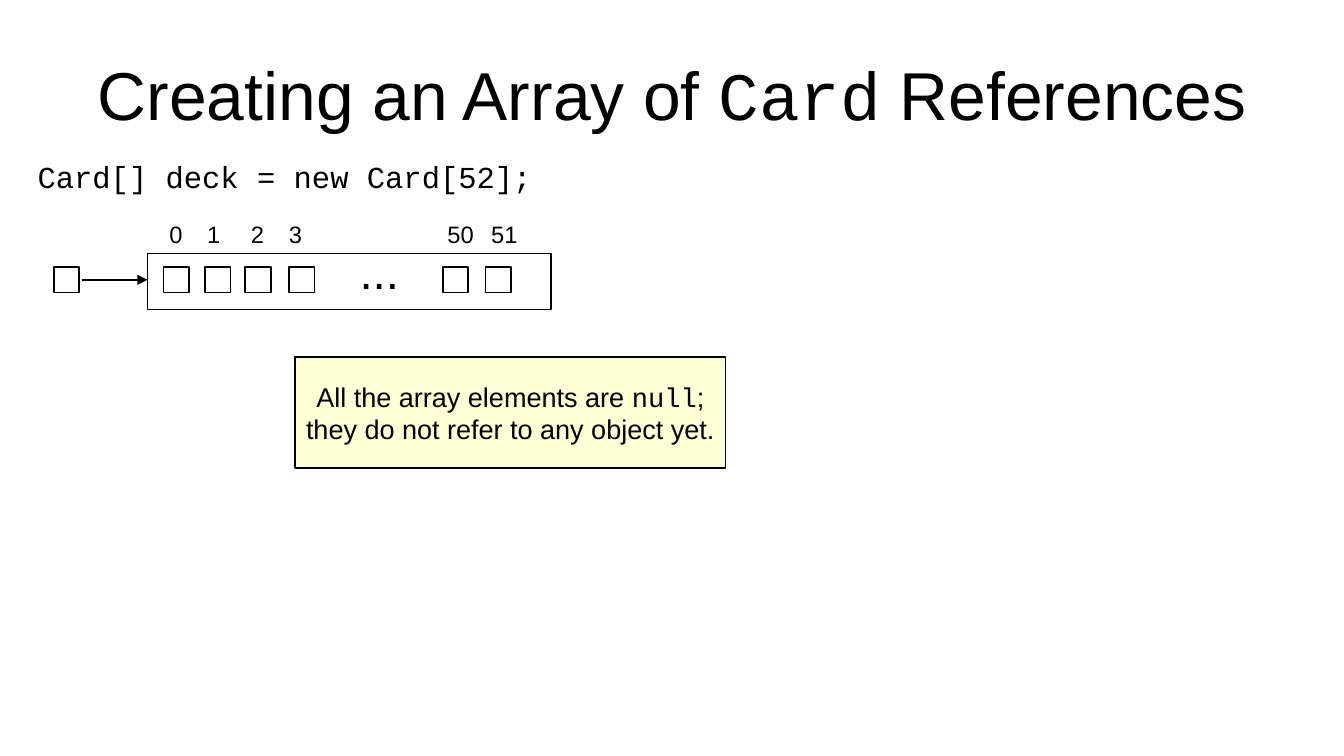
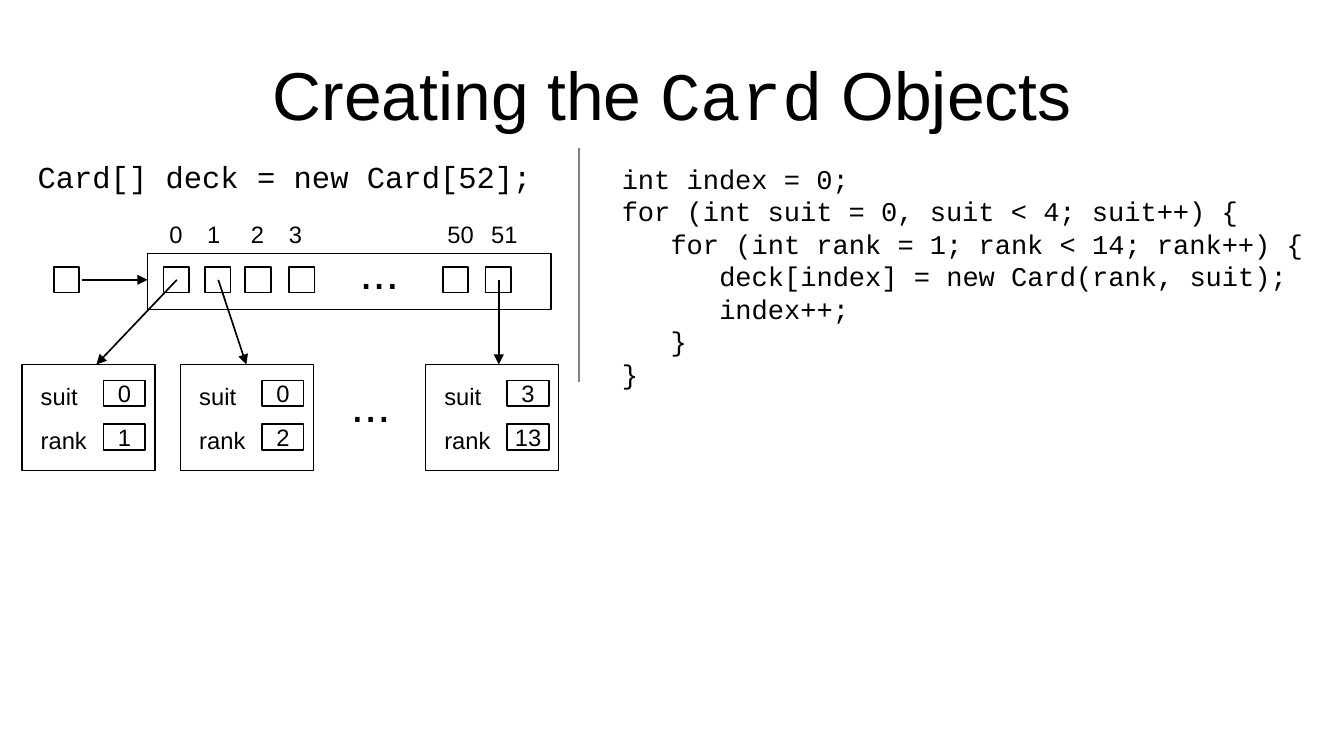
from dataclasses import dataclass

from lxml import etree
from pptx import Presentation
from pptx.dml.color import RGBColor
from pptx.enum.shapes import MSO_CONNECTOR, MSO_SHAPE
from pptx.enum.text import MSO_ANCHOR, PP_ALIGN
from pptx.oxml.ns import qn
from pptx.util import Inches, Pt

RECTANGLE = MSO_SHAPE.RECTANGLE
STRAIGHT = MSO_CONNECTOR.STRAIGHT
LEFT, CENTER = PP_ALIGN.LEFT, PP_ALIGN.CENTER
TOP, MIDDLE = MSO_ANCHOR.TOP, MSO_ANCHOR.MIDDLE

# Grid: every column and row is a tenth of an inch
CELL = Inches(0.1)
COLUMNS, ROWS = 110.2, 62


@dataclass(frozen=True)
class Theme:
    ink: RGBColor = RGBColor(0, 0, 0)
    paper: RGBColor = RGBColor(0xFF, 0xFF, 0xFF)
    note: RGBColor = RGBColor(0xFF, 0xFF, 0xD7)
    divider: RGBColor = RGBColor(0x80, 0x80, 0x80)
    prose: str = "Arial"
    code: str = "Courier New"
    title_size: int = 40
    dots_size: int = 28
    statement_size: int = 18
    body_size: int = 16
    label_size: int = 14
    line_width: int = 1


THEME = Theme()


@dataclass(frozen=True)
class Box:
    left: float
    top: float
    width: float
    height: float

    def inner(self, left, top, width, height):
        return Box(self.left + left, self.top + top, width, height)

    def emu(self):
        return [grid(n) for n in (self.left, self.top, self.width, self.height)]


TITLE = Box(5.5, 2.5, 99.2, 10.4)
STATEMENT = Box(2.1, 12.5, 45, 3.8)
NOTE = Box(24.2, 29.3, 35.3, 9.1)
ARRAY = Box(4.4, 17.5, 40.8, 7.9)
LOOP = Box(50, 12.8, 60, 18.6)

# Array slots: index, left of the square, left of its index label
SLOTS = (("0", 9, 8.5), ("1", 12.4, 11.6), ("2", 15.7, 15.2),
         ("3", 19.3, 18.3), ("50", 31.9, 31.3), ("51", 35.4, 34.9))
SQUARE = 2.1
SQUARE_TOP = 4.4
ARROW_ROW = 5.45

# Card objects: slot, left edge, arrowhead offset, field values
CARD_TOP, CARD_WIDTH, CARD_HEIGHT = 29.9, 10.9, 8.7
CARDS = ((0, 1.8, 6.1, {"suit": "0", "rank": "1"}),
         (1, 14.8, 5.4, {"suit": "0", "rank": "2"}),
         (5, 34.9, 6, {"suit": "3", "rank": "13"}))
FIELD_PITCH = 3.6

# Tabs set the nesting level of a line; backticks enclose code
LOOP_CODE = """int index = 0;
for (int suit = 0, suit < 4; suit++) {
\tfor (int rank = 1; rank < 14; rank++) {
\t\tdeck[index] = new Card(rank, suit);
\t\tindex++;
\t}
}"""
INDENT = Inches(0.4)


def grid(cells):
    return round(cells * CELL)


def write(frame, text, size=THEME.label_size, font=THEME.prose, align=LEFT,
          anchor=TOP, inset=(1, 0.5)):
    """Fill a text frame, one paragraph for each line."""
    frame.word_wrap = True
    frame.vertical_anchor = anchor
    frame.margin_left = frame.margin_right = grid(inset[0])
    frame.margin_top = frame.margin_bottom = grid(inset[1])
    for number, line in enumerate(text.split("\n")):
        paragraph = frame.paragraphs[0] if number == 0 else frame.add_paragraph()
        paragraph.alignment = align
        content = line.lstrip("\t")
        level = len(line) - len(content)
        if level:
            properties = paragraph._p.get_or_add_pPr()
            properties.set("marL", str(level * INDENT))
            properties.set("indent", "0")
        for position, piece in enumerate(content.split("`")):
            run = paragraph.add_run()
            run.text = piece
            run.font.size = Pt(size)
            run.font.name = THEME.code if position % 2 else font
            run.font.color.rgb = THEME.ink


def add_text(slide, box, text, **style):
    write(slide.shapes.add_textbox(*box.emu()).text_frame, text, **style)


def add_rectangle(slide, box, text="", fill=THEME.paper, size=THEME.label_size):
    rectangle = slide.shapes.add_shape(RECTANGLE, *box.emu())
    rectangle.shadow.inherit = False
    rectangle.fill.solid()
    rectangle.fill.fore_color.rgb = fill
    rectangle.line.color.rgb = THEME.ink
    rectangle.line.width = Pt(THEME.line_width)
    if text:
        write(rectangle.text_frame, text, size=size, align=CENTER,
              anchor=MIDDLE, inset=(0, 0))


def add_line(slide, start, end, color=THEME.ink, arrow=True):
    line = slide.shapes.add_connector(STRAIGHT, *map(grid, (*start, *end)))
    line.line.color.rgb = color
    line.line.width = Pt(THEME.line_width)
    if arrow:
        etree.SubElement(line.line._get_or_add_ln(), qn("a:tailEnd"),
                         type="triangle")
    etree.SubElement(line._element.spPr, qn("a:effectLst"))


def add_dots(slide, left, top):
    add_text(slide, Box(left, top, 7, 5.3), "...", size=THEME.dots_size)


def add_base(deck, title):
    """Start a slide with its title, array statement and array."""
    slide = deck.slides.add_slide(deck.slide_layouts[6])
    add_text(slide, TITLE, title, size=THEME.title_size, align=CENTER,
             anchor=MIDDLE, inset=(0, 0))
    add_text(slide, STATEMENT, "Card[] deck = new Card[52];",
             size=THEME.statement_size, font=THEME.code)
    add_array(slide, ARRAY)
    return slide


def add_array(slide, box):
    # Frame and the reference that points to it
    frame = box.inner(7.7, 3.3, 33.1, 4.6)
    add_rectangle(slide, frame)
    add_rectangle(slide, box.inner(0, SQUARE_TOP, SQUARE, SQUARE))
    row = box.top + ARROW_ROW
    add_line(slide, (box.left + SQUARE + 0.2, row), (frame.left, row))
    # Slots with their indexes
    for index, square_left, label_left in SLOTS:
        add_rectangle(slide, box.inner(square_left, SQUARE_TOP, SQUARE, SQUARE))
        add_text(slide, box.inner(label_left, 0, 5, 3.2), index)
    add_dots(slide, box.left + 24.1, box.top + 1.9)


def add_card(slide, box, fields):
    add_rectangle(slide, box)
    for number, (field, value) in enumerate(fields.items()):
        offset = number * FIELD_PITCH
        add_rectangle(slide, box.inner(6.7, 1.3 + offset, 3.4, 2.1), value)
        add_text(slide, box.inner(0.55, 0.9 + offset, 6.5, 3.2), field)


def build_references_slide(deck):
    slide = add_base(deck, "Creating an Array of `Card` References")
    add_rectangle(slide, NOTE, "All the array elements are `null`;\n"
                  "they do not refer to any object yet.",
                  fill=THEME.note, size=THEME.body_size)


def build_objects_slide(deck):
    slide = add_base(deck, "Creating the `Card` Objects")
    # Loop that fills the array
    add_text(slide, LOOP, LOOP_CODE, size=THEME.body_size, font=THEME.code)
    add_line(slide, (47.5, 12.1), (47.5, 31.3), color=THEME.divider, arrow=False)
    # Card objects and the references to them
    for slot, left, head, fields in CARDS:
        add_card(slide, Box(left, CARD_TOP, CARD_WIDTH, CARD_HEIGHT), fields)
        start = ARRAY.left + SLOTS[slot][1] + 1.1
        add_line(slide, (start, ARRAY.top + ARROW_ROW), (left + head, CARD_TOP))
    add_dots(slide, 27.8, 30.3)


def main():
    deck = Presentation()
    deck.slide_width, deck.slide_height = grid(COLUMNS), grid(ROWS)
    build_references_slide(deck)
    build_objects_slide(deck)
    deck.save("out.pptx")


if __name__ == "__main__":
    main()
